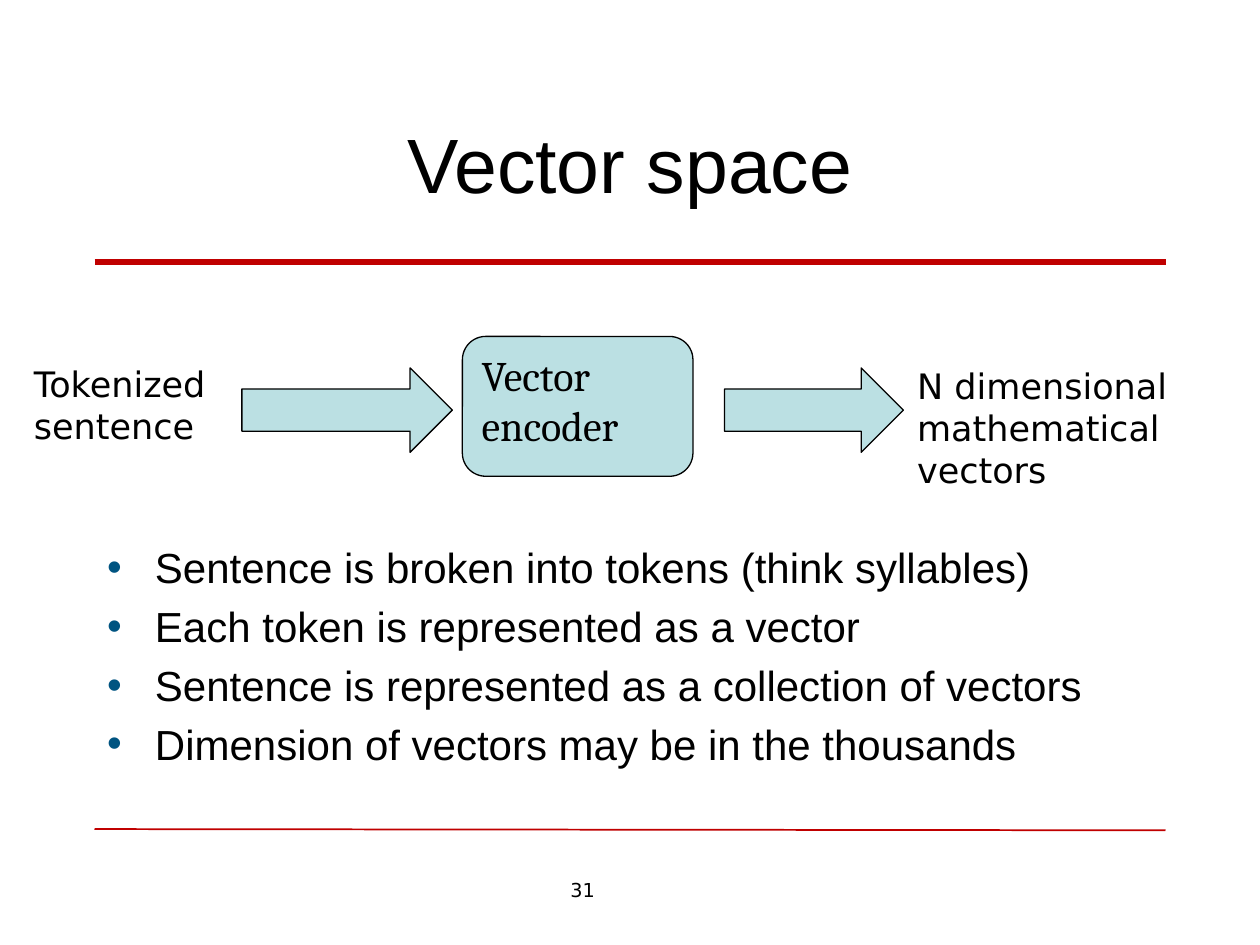
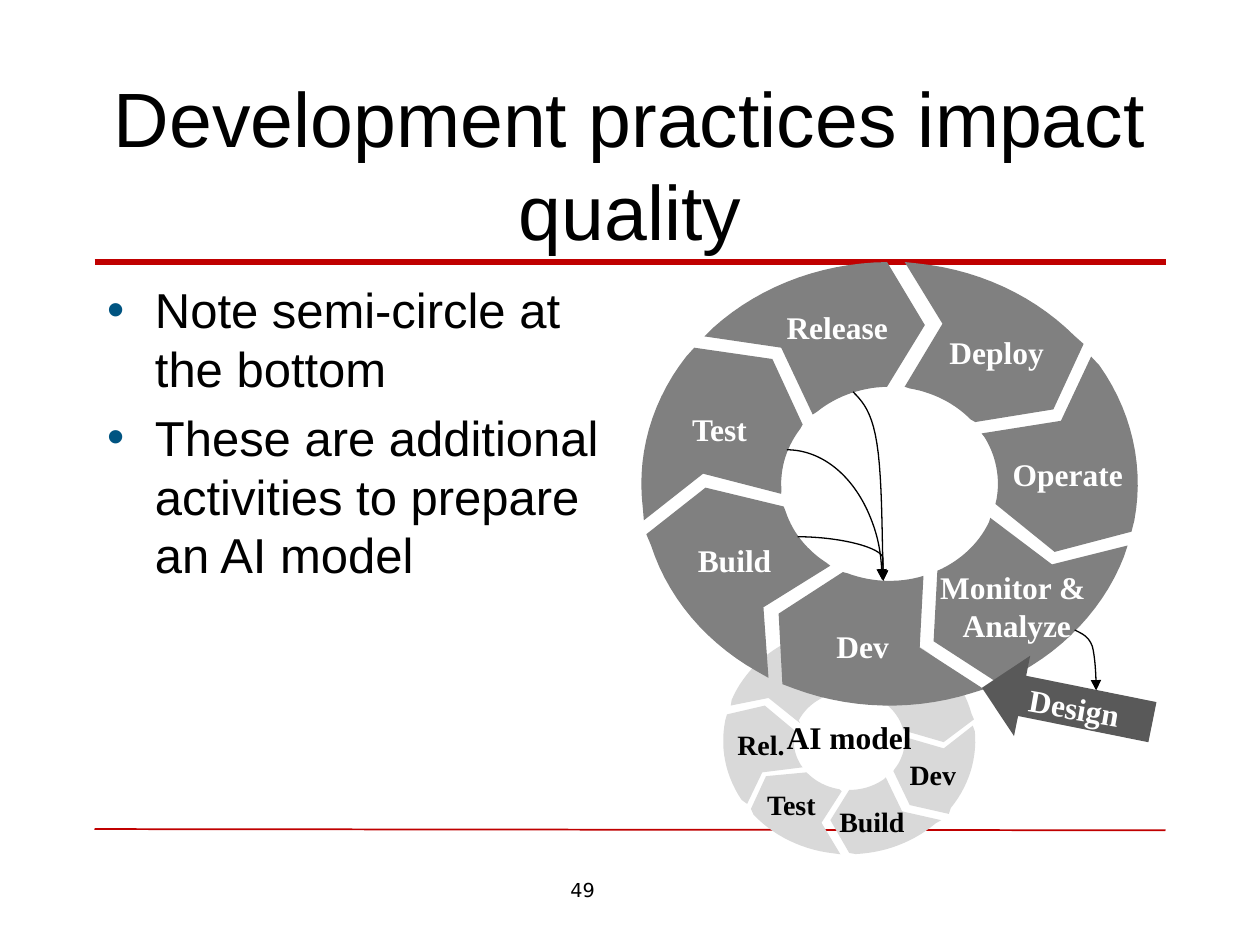
import math

import pptx
import pptx.dml.color
import pptx.enum.shapes
import pptx.enum.text
import pptx.oxml
import pptx.oxml.ns
import pptx.util

RGB = pptx.dml.color.RGBColor
SHAPE = pptx.enum.shapes.MSO_SHAPE
CONNECTOR = pptx.enum.shapes.MSO_CONNECTOR
ALIGN = pptx.enum.text.PP_ALIGN
ANCHOR = pptx.enum.text.MSO_ANCHOR
qn = pptx.oxml.ns.qn

PX = 9144
BLACK = RGB(0x00, 0x00, 0x00)
WHITE = RGB(0xFF, 0xFF, 0xFF)
RULE_RED = RGB(0xC0, 0x00, 0x00)
BULLET_BLUE = RGB(0x00, 0x54, 0x81)
PALE_TEAL = RGB(0xBB, 0xE0, 0xE3)
WHEEL_GREY = RGB(0x80, 0x80, 0x80)
AI_GREY = RGB(0xD9, 0xD9, 0xD9)
DESIGN_GREY = RGB(0x59, 0x59, 0x59)

TITLE_BOX = (75, 67, 850, 125)
NUMBER_BOX = (400, 692, 125, 29)
RULES = [((75, 208), (925, 208), 3), ((75, 658), (925, 659), 1)]

STYLES = {
    "title": ({"name": "Arial", "size": pptx.util.Pt(44)}, BLACK),
    "number": ({"name": "DejaVu Sans", "size": pptx.util.Pt(11)}, BLACK),
    "caption": ({"name": "DejaVu Sans", "size": pptx.util.Pt(20)}, BLACK),
    "encoder": ({"name": "Cambria", "size": pptx.util.Pt(24)}, BLACK),
    "points": ({"name": "Arial", "size": pptx.util.Pt(24)}, BLACK),
    "large points": ({"name": "Arial", "size": pptx.util.Pt(28)}, BLACK),
    "stage": ({"name": "Times New Roman", "size": pptx.util.Pt(18), "bold": True}, WHITE),
    "model": ({"name": "Times New Roman", "size": pptx.util.Pt(18), "bold": True}, BLACK),
    "AI stage": ({"name": "Times New Roman", "size": pptx.util.Pt(16), "bold": True}, BLACK),
}

VECTOR_SPACE = {
    "title": "Vector space",
    "number": "31",
    "points": [
        "Sentence is broken into tokens (think syllables)",
        "Each token is represented as a vector",
        "Sentence is represented as a collection of vectors",
        "Dimension of vectors may be in the thousands",
    ],
    "points box": (75, 425, 850, 233),
    "points style": "points",
}
ENCODER = ("Vector encoder", (367, 267, 183, 111))
ENCODER_ARROWS = [(192, 292, 167, 67), (575, 292, 142, 67)]
ENCODER_ENDS = [
    ("Tokenized sentence", (17, 283, 158, 77)),
    ("N dimensional mathematical vectors", (718, 284, 225, 111)),
]

PRACTICES = {
    "title": "Development practices impact quality",
    "number": "49",
    "points": [
        "Note semi-circle at the bottom",
        "These are additional activities to prepare an AI model",
    ],
    "points box": (75, 217, 425, 442),
    "points style": "large points",
}

# Each segment: inner arc ends, notch, outer arc ends, notch.
AI_WHEEL = {
    "centre": (674, 588), "inner": (44, 39), "outer": (100, 90), "colour": AI_GREY,
    "segments": [
        ((662, 551), (694, 554), (720, 539), (718, 510), (638, 505), (664, 522)),
        ((635, 574), (656, 554), (657, 525), (631, 507), (580, 560), (610, 554)),
        ((700, 557), (718, 580), (749, 589), (773, 571), (724, 511), (726, 540)),
        ((703, 617), (674, 627), (659, 651), (674, 677), (747, 651), (716, 644)),
        ((718, 585), (709, 612), (722, 639), (753, 646), (772, 576), (749, 594)),
        ((668, 628), (640, 613), (608, 616), (596, 642), (667, 678), (652, 653)),
        ((637, 609), (631, 580), (607, 560), (577, 567), (593, 638), (605, 613)),
    ],
}
STAGE_WHEEL = {
    "centre": (706, 384), "inner": (86, 77), "outer": (197, 176), "colour": WHEEL_GREY,
    "segments": [
        ((779, 344), (790, 400), (837, 438), (898, 422), (866, 283), (842, 334)),
        ((659, 449), (622, 402), (560, 387), (513, 424), (610, 538), (606, 482)),
        ((718, 307), (774, 335), (836, 325), (860, 273), (718, 208), (748, 257)),
        ((733, 457), (669, 454), (618, 487), (621, 543), (781, 547), (730, 514)),
        ((786, 411), (744, 453), (741, 509), (792, 542), (895, 433), (835, 448)),
        ((620, 392), (637, 337), (613, 285), (551, 276), (511, 413), (558, 376)),
        ((645, 329), (704, 307), (734, 258), (704, 208), (559, 267), (620, 276)),
    ],
}
WHEEL_LABELS = [
    ("Deploy", (731, 261, 120, 37), "stage", ALIGN.CENTER, 0),
    ("Operate", (789, 358, 117, 37), "stage", ALIGN.CENTER, 0),
    ("Build", (536, 426, 94, 37), "stage", ALIGN.CENTER, 0),
    ("Release", (598, 241, 133, 37), "stage", ALIGN.CENTER, 0),
    ("Monitor & \nAnalyze", (734, 449, 146, 64), "stage", ALIGN.CENTER, 0),
    ("Test", (530, 322, 82, 37), "stage", ALIGN.CENTER, 0),
    ("AI model", (614, 553, 120, 64), "model", ALIGN.CENTER, 0),
    ("Dev", (654, 493, 71, 37), "stage", ALIGN.LEFT, 0),
    ("Design", (807, 542, 99, 37), "stage", ALIGN.LEFT, 9.9),
    ("Dev", (712, 596, 71, 34), "AI stage", ALIGN.LEFT, 0),
    ("Build", (645, 635, 94, 33), "AI stage", ALIGN.CENTER, 0),
    ("Test", (587, 622, 82, 33), "AI stage", ALIGN.CENTER, 0),
    ("Rel.", (557, 574, 94, 33), "AI stage", ALIGN.CENTER, 0),
]
DESIGN_ARROW = (778, 527, 138, 65)
BUILD_TO_DEV = ((633, 426), (701, 461))
TEST_TO_DEV = (549, 357, 151, 206)
CURVES = [
    [(677, 311), (685, 319), (692, 327), (696, 352), (700, 377), (700, 419), (701, 461)],
    [(853, 500), (859, 503), (864, 505), (867, 513), (869, 521), (870, 534), (870, 548)],
]


def emu(lengths):
    return [round(length * PX) for length in lengths]


def write(frame, text, style, align=ALIGN.LEFT, anchor=ANCHOR.TOP):
    frame.text = text
    layout = {"word_wrap": True, "vertical_anchor": anchor,
              "auto_size": pptx.enum.text.MSO_AUTO_SIZE.NONE}
    for key, value in layout.items():
        setattr(frame, key, value)
    formats, colour = STYLES[style]
    for paragraph in frame.paragraphs:
        paragraph.alignment = align
        for run in paragraph.runs:
            for key, value in formats.items():
                setattr(run.font, key, value)
            run.font.color.rgb = colour


def add_label(slide, text, box, style, align=ALIGN.LEFT, anchor=ANCHOR.TOP, turn=0):
    label = slide.shapes.add_textbox(*emu(box))
    label.rotation = turn
    write(label.text_frame, text, style, align, anchor)


def place(placeholder, box):
    for key, value in zip(("left", "top", "width", "height"), emu(box)):
        setattr(placeholder, key, value)


def stroke(line, colour, width):
    line.color.rgb = colour
    line.width = pptx.util.Pt(width)


def paint(shape, fill=None, line=None):
    shape.shadow.inherit = False
    if fill is None:
        shape.fill.background()
    else:
        shape.fill.solid()
        shape.fill.fore_color.rgb = fill
    if line is None:
        shape.line.fill.background()
    else:
        stroke(shape.line, line, 0.75)


def add_arrowhead(shape):
    outline = shape.element.spPr.find(qn("a:ln"))
    outline.append(pptx.oxml.parse_xml(
        f'<a:tailEnd {pptx.oxml.ns.nsdecls("a")} type="triangle"/>'))


def add_line(slide, kind, start, end, colour, width):
    line = slide.shapes.add_connector(kind, *emu(start + end))
    stroke(line.line, colour, width)
    line.element.spPr.append(pptx.oxml.parse_xml(
        f'<a:effectLst {pptx.oxml.ns.nsdecls("a")}/>'))
    return line


def add_bullets(paragraph):
    settings = paragraph._p.get_or_add_pPr()
    settings.set("marL", str(38 * PX))
    settings.set("indent", str(-38 * PX))
    space = pptx.oxml.ns.nsdecls("a")
    for mark in (f'<a:spcBef {space}><a:spcPct val="20000"/></a:spcBef>',
                 f'<a:buClr {space}><a:srgbClr val="{BULLET_BLUE}"/></a:buClr>',
                 f'<a:buFont {space} typeface="Arial"/>',
                 f'<a:buChar {space} char="•"/>'):
        settings.append(pptx.oxml.parse_xml(mark))


def start_slide(deck, content):
    slide = deck.slides.add_slide(deck.slide_layouts[1])
    title, points = slide.placeholders
    place(title, TITLE_BOX)
    write(title.text_frame, content["title"], "title", ALIGN.CENTER, ANCHOR.MIDDLE)
    place(points, content["points box"])
    write(points.text_frame, "\n".join(content["points"]), content["points style"])
    for paragraph in points.text_frame.paragraphs:
        add_bullets(paragraph)
    for start, end, width in RULES:
        add_line(slide, CONNECTOR.STRAIGHT, start, end, RULE_RED, width)
    add_label(slide, content["number"], NUMBER_BOX, "number", ALIGN.CENTER)
    return slide


def arc_between(start, end, centre, radii, steps=16):
    first, last = [math.atan2((y - centre[1]) / radii[1], (x - centre[0]) / radii[0])
                   for x, y in (start, end)]
    sweep = (last - first + math.pi) % (2 * math.pi) - math.pi
    angles = [first + sweep * step / steps for step in range(1, steps)]
    between = [(centre[0] + radii[0] * math.cos(angle),
                centre[1] + radii[1] * math.sin(angle)) for angle in angles]
    return [start, *between, end]


def bezier(knots, steps=10):
    points = [knots[0]]
    for first in range(0, len(knots) - 1, 3):
        for step in range(1, steps + 1):
            t = step / steps
            weights = [math.comb(3, k) * t**k * (1 - t)**(3 - k) for k in range(4)]
            points.append([sum(w * knot[axis] for w, knot in zip(weights, knots[first:first + 4]))
                           for axis in (0, 1)])
    return points


def add_outline(slide, points, close):
    first, *others = [emu(point) for point in points]
    builder = slide.shapes.build_freeform(*first)
    builder.add_line_segments(others, close=close)
    return builder.convert_to_shape()


def add_wheel(slide, wheel):
    for inner_start, inner_end, tail, outer_start, outer_end, tip in wheel["segments"]:
        inner = arc_between(inner_start, inner_end, wheel["centre"], wheel["inner"])
        outer = arc_between(outer_start, outer_end, wheel["centre"], wheel["outer"])
        paint(add_outline(slide, [*inner, tail, *outer, tip], True), wheel["colour"])


def build_vector_space(deck):
    slide = start_slide(deck, VECTOR_SPACE)
    for box in ENCODER_ARROWS:
        paint(slide.shapes.add_shape(SHAPE.RIGHT_ARROW, *emu(box)), PALE_TEAL, BLACK)
    text, box = ENCODER
    encoder = slide.shapes.add_shape(SHAPE.ROUNDED_RECTANGLE, *emu(box))
    paint(encoder, PALE_TEAL, BLACK)
    write(encoder.text_frame, text, "encoder")
    for text, box in ENCODER_ENDS:
        add_label(slide, text, box, "caption")


def build_practices(deck):
    slide = start_slide(deck, PRACTICES)
    for wheel in (AI_WHEEL, STAGE_WHEEL):
        add_wheel(slide, wheel)
    design = slide.shapes.add_shape(SHAPE.LEFT_ARROW, *emu(DESIGN_ARROW))
    design.rotation = 11.4
    paint(design, DESIGN_GREY)
    for text, box, style, align, turn in WHEEL_LABELS:
        anchor = ANCHOR.MIDDLE if align == ALIGN.CENTER else ANCHOR.TOP
        add_label(slide, text, box, style, align, anchor, turn)

    build_link = add_line(slide, CONNECTOR.CURVE, *BUILD_TO_DEV, BLACK, 0.75)
    geometry = build_link.element.spPr.find(qn("a:prstGeom"))
    geometry.get_or_add_avLst().append(pptx.oxml.parse_xml(
        f'<a:gd {pptx.oxml.ns.nsdecls("a")} name="adj1" fmla="val 99800"/>'))
    add_arrowhead(build_link)
    links = [add_outline(slide, bezier(knots), False) for knots in CURVES]
    links.append(slide.shapes.add_shape(SHAPE.ARC, *emu(TEST_TO_DEV)))
    for link in links:
        paint(link, line=BLACK)
        add_arrowhead(link)


def main():
    deck = pptx.Presentation()
    deck.slide_width, deck.slide_height = emu((1000, 750))
    build_vector_space(deck)
    build_practices(deck)
    deck.save("out.pptx")


if __name__ == "__main__":
    main()
